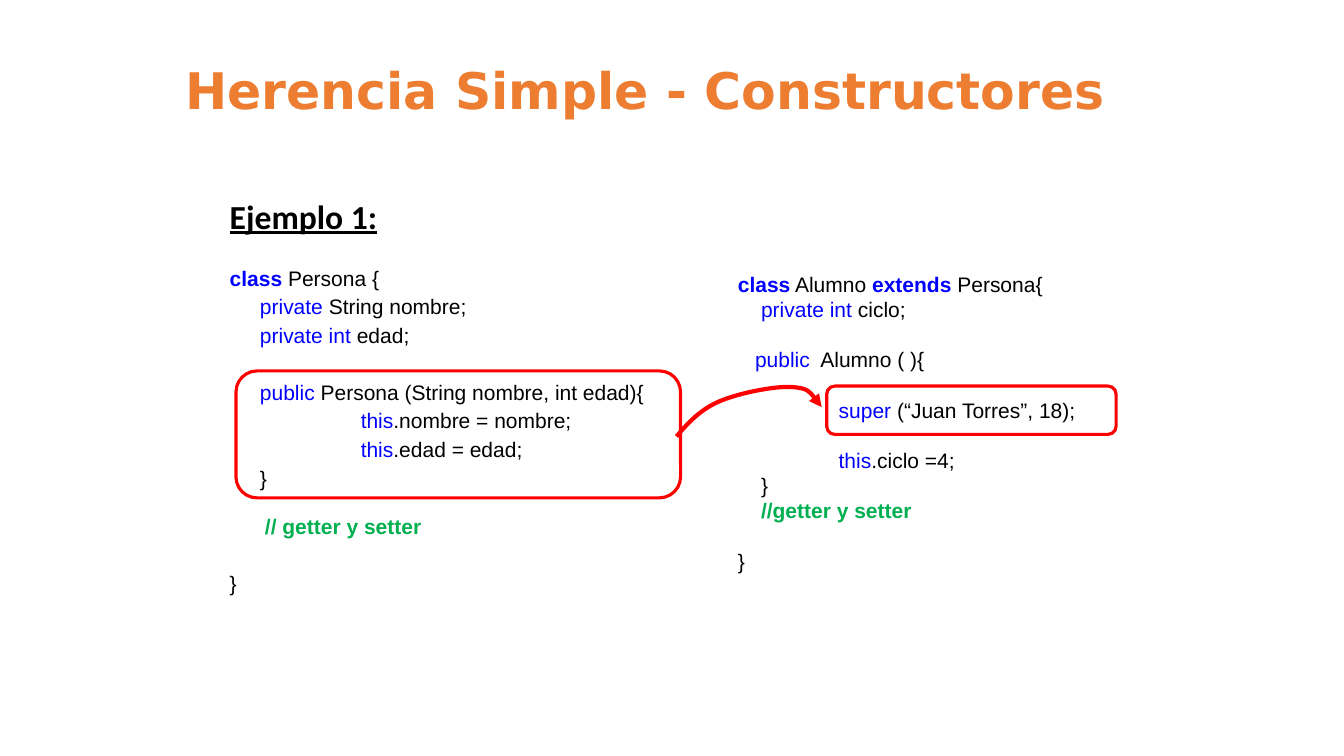
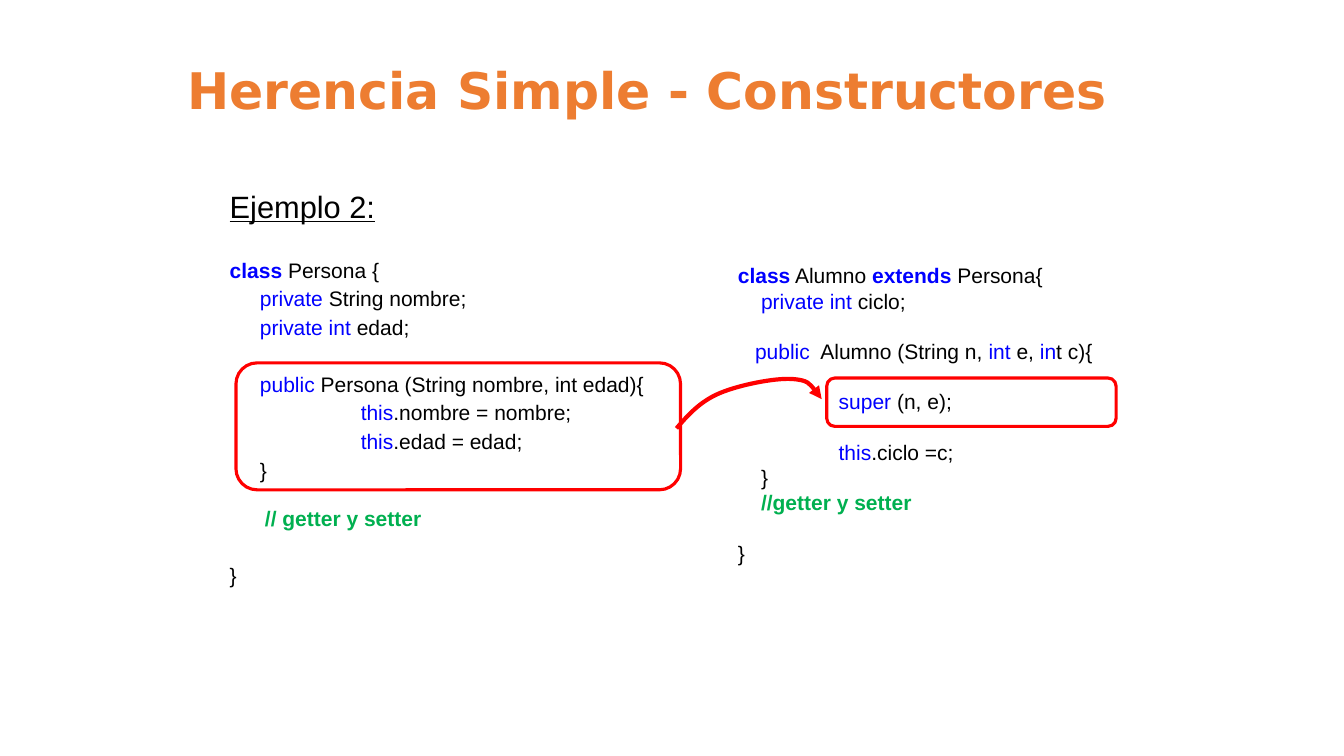
from lxml import etree
from pptx import Presentation
from pptx.dml.color import RGBColor
from pptx.enum.shapes import MSO_SHAPE
from pptx.enum.text import MSO_ANCHOR, PP_ALIGN
from pptx.oxml.ns import qn
from pptx.util import Inches, Pt

ROUND = MSO_SHAPE.ROUNDED_RECTANGLE
MIDDLE, CENTER, LEFT = MSO_ANCHOR.MIDDLE, PP_ALIGN.CENTER, PP_ALIGN.LEFT
RED = "FF0000"

# Style: font, size, colour, bold, underline
STYLES = {
    "title": ("DejaVu Sans", 36, "ED7D31", True, False),
    "head1": ("Calibri", 24, "000000", True, True),
    "head2": ("Arial", 22, "000000", False, True),
    "class": ("Arial", 15, "0000FF", True, False),
    "key": ("Arial", 15, "0000FF", False, False),
    "code": ("Arial", 15, "000000", False, False),
    "note": ("Arial", 15, "00B050", True, False),
}


def color(code):
    """Turn a hex string into a colour."""
    return RGBColor.from_string(code)


def write(slide, area, lines, spacing=1.0, align=LEFT):
    """Add a text box; each line is (indent, space before, runs)."""
    box = slide.shapes.add_textbox(*map(Inches, area))
    frame = box.text_frame
    frame.word_wrap = True
    for i, (indent, gap, runs) in enumerate(lines):
        para = frame.add_paragraph() if i else frame.paragraphs[0]
        para.line_spacing, para.space_before = spacing, Pt(gap)
        para.alignment = align
        para._p.get_or_add_pPr().set("marL", str(Inches(indent)))
        for style, text in runs:
            run = para.add_run()
            run.text = text
            font = run.font
            font.name, size, tint, font.bold, font.underline = STYLES[style]
            font.size, font.color.rgb = Pt(size), color(tint)
    return frame


# Left column: 6 pt between lines, wider where the code has a break
persona = [
    (0, 6, [("class", "class"), ("code", " Persona {")]),
    (0.3, 6, [("key", "private "), ("code", "String nombre;")]),
    (0.3, 6, [("key", "private int"), ("code", " edad;")]),
    (0.3, 26.4, [("key", "public "),
                 ("code", "Persona (String nombre, int edad){")]),
    (1.3, 6, [("key", "this"), ("code", ".nombre = nombre;")]),
    (1.3, 6, [("key", "this"), ("code", ".edad = edad;")]),
    (0.3, 6, [("code", "}")]),
    (0.35, 20.4, [("note", "// getter y setter")]),
    (0, 26.4, [("code", "}")]),
]

# What differs: heading style, heading, vertical shift, title centre,
# constructor head, super arguments, value of ciclo
examples = [
    ("head1", "Ejemplo 1:", 0, 6.4, [("code", "  Alumno ( ){")],
     "(“Juan Torres”, 18);", "4"),
    ("head2", "Ejemplo 2:", -0.08, 6.42,
     [("code", "  Alumno (String n, "), ("key", "int"), ("code", " e, "),
      ("key", "in"), ("code", "t c){")],
     "(n, e);", "c"),
]

frames = [(2.34, 3.68, 4.41, 1.26), (8.2, 3.83, 2.87, 0.48)]
curve = [(6.71, 4.33), (6.83, 4.19), (6.95, 4.06), (7.14, 3.98),
         (7.33, 3.9), (7.68, 3.83), (7.85, 3.84),
         (8.02, 3.85), (8.08, 3.94), (8.15, 4.04)]

deck = Presentation()
deck.slide_width, deck.slide_height = Inches(13.33), Inches(7.5)

for look, heading, shift, center, maker, args, value in examples:
    slide = deck.slides.add_slide(deck.slide_layouts[6])
    title = write(slide, (center - 4.77, 0.3, 9.54, 1.25),
                  [(0, 0, [("title", "Herencia Simple - Constructores")])],
                  0.9, CENTER)
    title.vertical_anchor = MIDDLE

    write(slide, (2.18, 2.63 + shift, 4.57, 3.17), persona, 0.8)
    alumno = [
        (0, 0, [("class", "class"), ("code", " Alumno "),
                ("class", "extends "), ("code", "Persona{")]),
        (0.23, 0, [("key", "private int "), ("code", "ciclo;")]),
        (0.17, 18, [("key", "public"), *maker]),
        (1, 18, [("key", "super "), ("code", args)]),
        (1, 18, [("key", "this"), ("code", f".ciclo ={value};")]),
        (0.23, 0, [("code", "}")]),
        (0.23, 0, [("note", "//getter y setter")]),
        (0, 18, [("code", "}")]),
    ]
    write(slide, (7.22, 2.64 + shift, 3.86, 3.13), alumno)
    write(slide, (2.18, 1.89 + shift, 2.35, 0.5),
          [(0, 0, [(look, heading)])])

    marks = []
    for x, y, w, h in frames:
        marks.append(slide.shapes.add_shape(
            ROUND, Inches(x), Inches(y + shift), Inches(w), Inches(h)))

    spots = [(Inches(x), Inches(y + shift)) for x, y in curve]
    pen = slide.shapes.build_freeform(*spots[0])
    pen.add_line_segments(spots[1:], close=False)
    arrow = pen.convert_to_shape()
    for mark in marks + [arrow]:
        mark.shadow.inherit = False
        mark.fill.background()
        mark.line.color.rgb = color(RED)
        mark.line.width = Pt(3 if mark is arrow else 2.25)

    # Every three segments become one Bezier curve
    route = next(arrow.element.iter(qn("a:path")))
    steps = route.findall(qn("a:lnTo"))
    for i in range(0, len(steps), 3):
        bend = etree.SubElement(route, qn("a:cubicBezTo"))
        for step in steps[i:i + 3]:
            bend.append(step[0])
            route.remove(step)
    edge = arrow.element.spPr.find(qn("a:ln"))
    etree.SubElement(edge, qn("a:tailEnd"), type="triangle")

deck.save("out.pptx")
